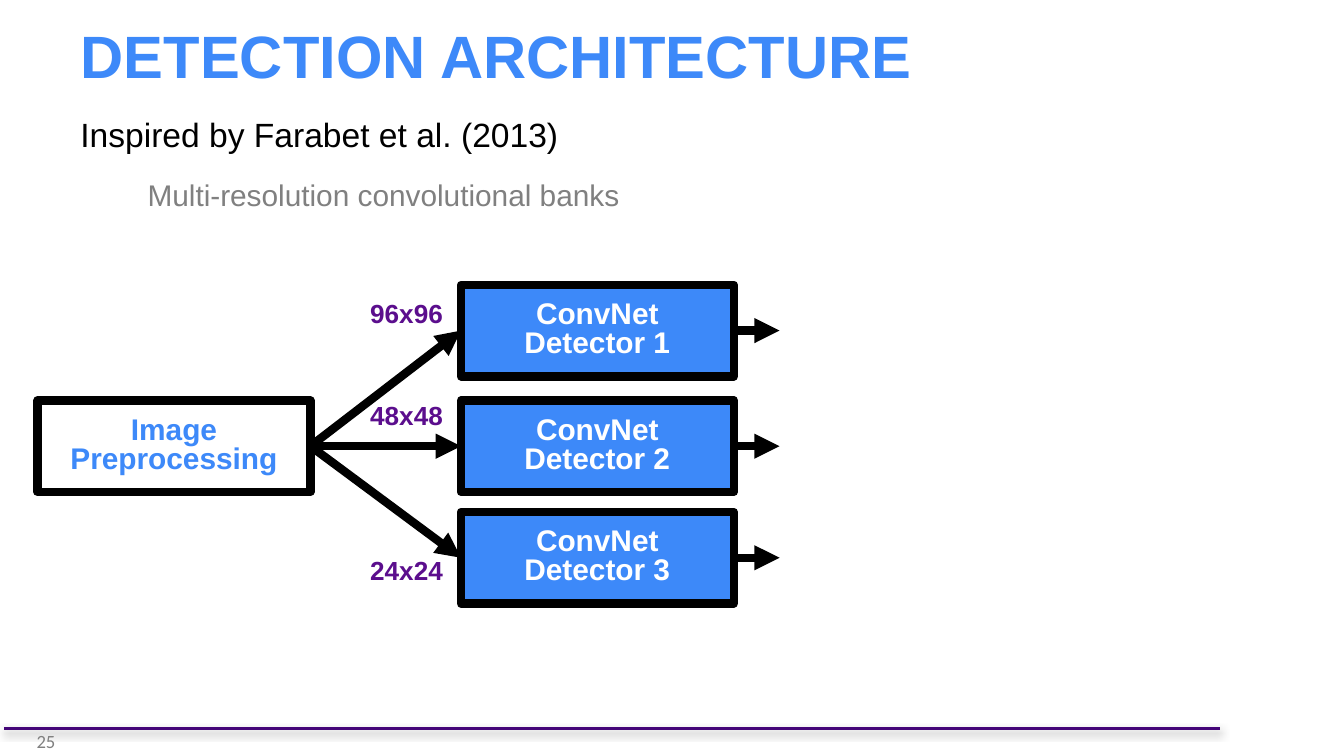
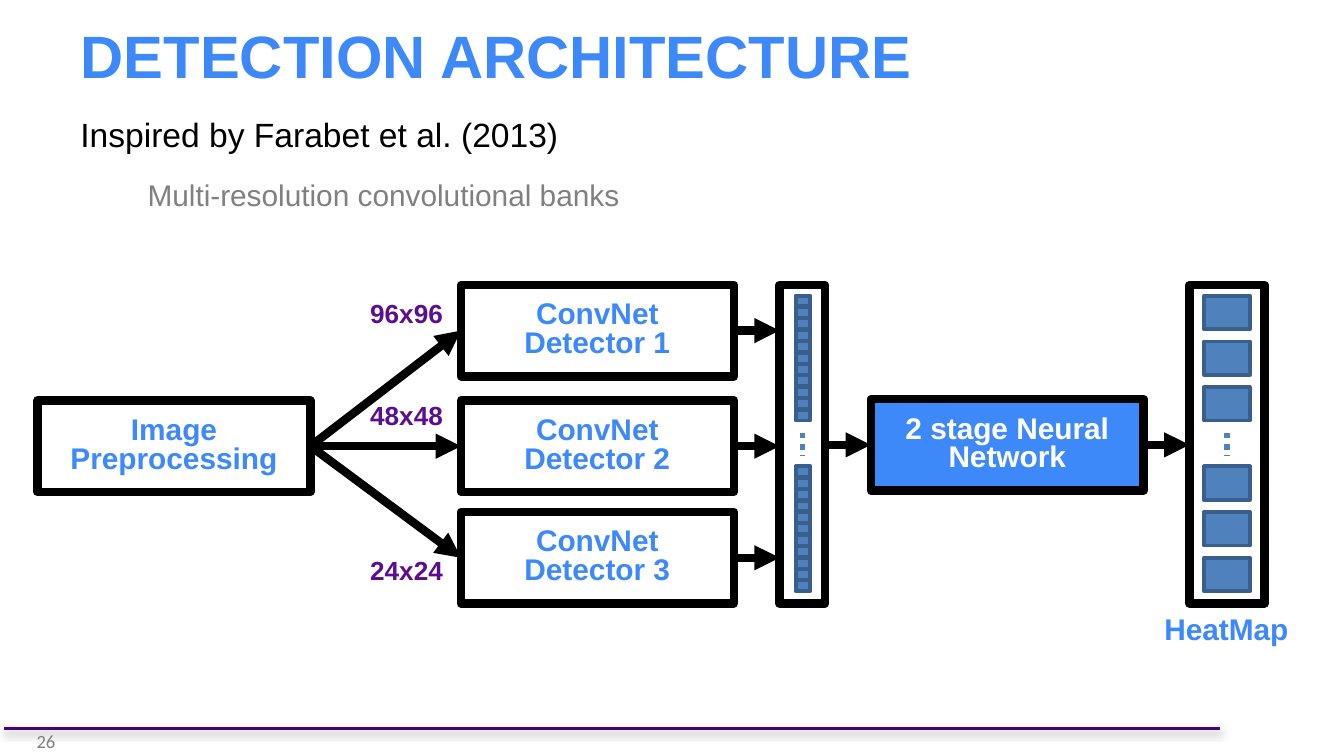
from dataclasses import dataclass

from lxml import etree
from pptx import Presentation
from pptx.dml.color import RGBColor
from pptx.enum.dml import MSO_LINE
from pptx.enum.shapes import MSO_CONNECTOR, MSO_SHAPE
from pptx.enum.text import MSO_ANCHOR, MSO_AUTO_SIZE, PP_ALIGN
from pptx.oxml.ns import qn
from pptx.util import Inches, Pt

LEFT, CENTER, RIGHT = PP_ALIGN.LEFT, PP_ALIGN.CENTER, PP_ALIGN.RIGHT
MIDDLE, BOTTOM = MSO_ANCHOR.MIDDLE, MSO_ANCHOR.BOTTOM
FIT = MSO_AUTO_SIZE.SHAPE_TO_FIT_TEXT
STRAIGHT = MSO_CONNECTOR.STRAIGHT
RECT, ROUND_RECT = MSO_SHAPE.RECTANGLE, MSO_SHAPE.ROUNDED_RECTANGLE
DOTS = MSO_LINE.ROUND_DOT  # sysDot


@dataclass(frozen=True)
class Theme:
    font: str = "Arial"
    number_font: str = "Calibri"
    blue: str = "3D89F9"
    black: str = "000000"
    white: str = "FFFFFF"
    gray: str = "808080"
    purple: str = "5B0E8D"
    rule: str = "440578"
    cell: str = "4F81BD"
    cell_edge: str = "3A5F8C"
    title_size: int = 32
    lead_size: int = 18
    text_size: int = 16
    label_size: int = 14
    number_size: int = 10
    heavy: float = 4.5
    dotted: float = 3
    thin: float = 2


BOX_W, BOX_H = 2.03, 0.68
INPUT_X, DETECTOR_X, FEATURES_X, NETWORK_X, HEATMAP_X = 0.28, 3.43, 5.8, 6.48, 8.85
FEATURES_W, HEATMAP_W = 0.34, 0.56
DETECTOR_TOPS = (2.12, 2.98, 3.81)
INPUT_TOP, NETWORK_TOP = DETECTOR_TOPS[1], 2.97
COLUMN_TOP, COLUMN_H = 2.12, 2.37
BANK_TOPS = (2.2, 3.47)
RESOLUTIONS = (("96x96", 2.21), ("48x48", 2.97), ("24x24", 4.12))


class Deck:
    def __init__(self, theme):
        self.theme = theme
        self.prs = Presentation()
        self.prs.slide_width = Inches(10)
        self.prs.slide_height = Inches(10 * 9 / 16)
        self.s = None

    def slide(self, title, number):
        t = self.theme
        self.s = self.prs.slides.add_slide(self.prs.slide_layouts[5])
        self.rule()
        sp = self.s.shapes.title
        sp.left, sp.top = Inches(0.5), Inches(0.15)
        sp.width, sp.height = Inches(9), Inches(0.57)
        sp.text_frame.vertical_anchor = BOTTOM
        p = sp.text_frame.paragraphs[0]
        self.run(p, title, t.title_size, t.blue, bold=True, align=LEFT)
        tf = self.textbox(0.12, 5.38, 0.39, 0.31)
        self.run(tf.paragraphs[0], number, t.number_size, t.gray,
                 align=RIGHT, font=t.number_font)

    def run(self, p, text, size, color, bold=False, align=LEFT, font=None):
        p.alignment = align
        r = p.add_run()
        r.text = text
        r.font.name = font or self.theme.font
        r.font.size, r.font.bold = Pt(size), bold
        r.font.color.rgb = RGBColor.from_string(color)

    def textbox(self, x, y, w, h):
        tf = self.s.shapes.add_textbox(Inches(x), Inches(y), Inches(w), Inches(h)).text_frame
        tf.word_wrap = True
        return tf

    def intro(self, lead, detail):
        t = self.theme
        tf = self.textbox(0.5, 0.8, 9, 4.43)
        p = tf.paragraphs[0]
        p.space_after = Pt(12)
        self.run(p, lead, t.lead_size, t.black)
        p = tf.add_paragraph()
        p.level = 1
        p._p.get_or_add_pPr().set("marL", str(Inches(0.5)))
        p.space_after = Pt(6)
        self.run(p, detail, t.text_size, t.gray)

    def label(self, text, x, y, w, h, size, color):
        """Add a one-line bold caption centred in its box."""
        tf = self.textbox(x, y, w, h)
        tf.word_wrap, tf.auto_size = False, FIT
        p = tf.paragraphs[0]
        p.line_spacing = 0.8
        self.run(p, text, size, color, bold=True, align=CENTER)

    def shape(self, kind, x, y, w, h, fill, edge, weight):
        sp = self.s.shapes.add_shape(kind, Inches(x), Inches(y), Inches(w), Inches(h))
        sp.shadow.inherit = False
        if fill:
            sp.fill.solid()
            sp.fill.fore_color.rgb = RGBColor.from_string(fill)
        else:
            sp.fill.background()
        sp.line.color.rgb = RGBColor.from_string(edge)
        sp.line.width = Pt(weight)
        return sp

    def frame(self, x, y, w, h, fill=None):
        """Add a square-cornered box with the heavy black outline."""
        sp = self.shape(ROUND_RECT, x, y, w, h, fill, self.theme.black, self.theme.heavy)
        sp.adjustments[0] = 0
        return sp

    def stage(self, text, x, y, active=False):
        """Add a processing step, filled when it is the one under discussion."""
        t = self.theme
        tf = self.frame(x, y, BOX_W, BOX_H, t.blue if active else None).text_frame
        tf.word_wrap, tf.vertical_anchor = True, MIDDLE
        p = tf.paragraphs[0]
        p.line_spacing = 0.8
        self.run(p, text, t.text_size, t.white if active else t.blue,
                 bold=True, align=CENTER)

    def cells(self, x, w, h, step, count):
        t = self.theme
        for top in BANK_TOPS:
            for i in range(count):
                self.shape(RECT, x, top + i * step, w, h, t.cell, t.cell_edge, t.thin)

    def line(self, x1, y1, x2, y2, color, weight):
        """Add a straight line; return it with its empty effect list."""
        c = self.s.shapes.add_connector(
            STRAIGHT, Inches(x1), Inches(y1), Inches(x2), Inches(y2))
        c.line.color.rgb = RGBColor.from_string(color)
        c.line.width = Pt(weight)
        return c, etree.SubElement(c._element.spPr, qn("a:effectLst"))

    def arrow(self, x1, y1, x2, y2):
        c, _ = self.line(x1, y1, x2, y2, self.theme.black, self.theme.heavy)
        etree.SubElement(c.line._get_or_add_ln(), qn("a:tailEnd"), type="triangle")

    def dots(self, x):
        c, _ = self.line(x, 3.22, x, 3.39, self.theme.cell, self.theme.dotted)
        c.line.dash_style = DOTS

    def rule(self):
        _, effects = self.line(0.03, 5.42, 9.08, 5.42, self.theme.rule, self.theme.thin)
        shadow = etree.SubElement(effects, qn("a:outerShdw"), blurRad=str(Pt(4)),
                                  dist=str(Pt(2)), dir="5400000", rotWithShape="0")
        color = etree.SubElement(shadow, qn("a:srgbClr"), val=self.theme.black)
        etree.SubElement(color, qn("a:alpha"), val="43000")


def detection_slide(deck, number, active_detectors):
    """Add what both slides share: intro, preprocessing and the detectors."""
    t = deck.theme
    deck.slide("DETECTION ARCHITECTURE", number)
    deck.intro("Inspired by Farabet et al. (2013)", "Multi-resolution convolutional banks")
    deck.stage("Image Preprocessing", INPUT_X, INPUT_TOP)
    for i, top in enumerate(DETECTOR_TOPS, 1):
        mid = top + BOX_H / 2
        deck.stage(f"ConvNet Detector {i}", DETECTOR_X, top, active_detectors)
        deck.arrow(INPUT_X + BOX_W, INPUT_TOP + BOX_H / 2, DETECTOR_X, mid)
        deck.arrow(DETECTOR_X + BOX_W, mid, FEATURES_X, mid)
    for text, top in RESOLUTIONS:
        deck.label(text, 2.65, top, 0.75, 0.3, t.label_size, t.purple)


def network_stages(deck):
    """Add the feature column, the network and the heat map."""
    t = deck.theme
    mid = NETWORK_TOP + BOX_H / 2
    deck.frame(FEATURES_X, COLUMN_TOP, FEATURES_W, COLUMN_H)
    deck.cells(5.92, 0.11, 0.08, 0.085, 11)
    deck.dots(5.97)
    deck.stage("2 stage Neural Network", NETWORK_X, NETWORK_TOP, active=True)
    deck.arrow(FEATURES_X + FEATURES_W, mid, NETWORK_X, mid)
    deck.frame(HEATMAP_X, COLUMN_TOP, HEATMAP_W, COLUMN_H)
    deck.cells(8.96, 0.34, 0.25, 0.34, 3)
    deck.dots(9.13)
    deck.arrow(NETWORK_X + BOX_W, mid, HEATMAP_X, mid)
    deck.label("HeatMap", 8.54, 4.55, 1.17, 0.33, t.text_size, t.blue)


def main():
    deck = Deck(Theme())
    detection_slide(deck, "25", active_detectors=True)
    detection_slide(deck, "26", active_detectors=False)
    network_stages(deck)
    deck.prs.save("out.pptx")


if __name__ == "__main__":
    main()
